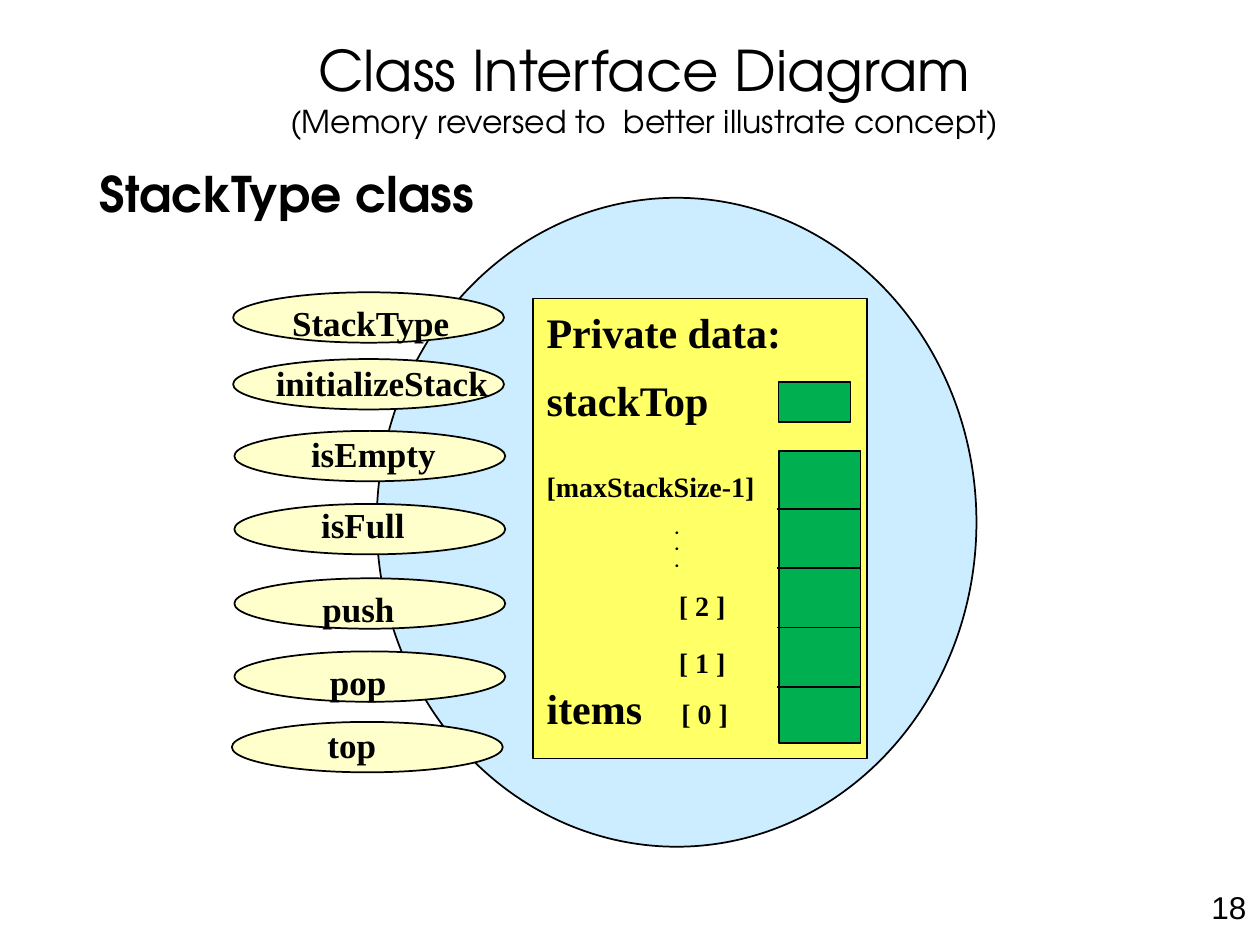
"""Build the StackType class interface diagram slide."""
from dataclasses import dataclass

from lxml import etree
from pptx import Presentation
from pptx.dml.color import RGBColor
from pptx.enum.shapes import MSO_CONNECTOR as Connector, MSO_SHAPE as Shape
from pptx.enum.text import MSO_ANCHOR as Anchor, PP_ALIGN as Align
from pptx.oxml.ns import qn
from pptx.util import Inches, Pt


@dataclass(frozen=True)
class Theme:
    black: str = "000000"
    circle: str = "CCECFF"
    method: str = "FFFFCC"
    data: str = "FFFF66"
    cell: str = "00B050"
    heading_font: str = "TeX Gyre Adventor"
    body_font: str = "Times New Roman"
    dot_font: str = "Montserrat"
    number_font: str = "Arial"
    title_size: int = 32
    class_size: int = 28
    data_size: int = 24
    method_size: int = 20
    small_size: int = 18
    index_size: int = 16
    dot_size: int = 8


theme = Theme()


def write(paragraph, text, size, font=theme.body_font, bold=True, align=Align.LEFT):
    paragraph.alignment = align
    run = paragraph.add_run()
    run.text = text
    run.font.name = font
    run.font.size = Pt(size)
    run.font.bold = bold
    run.font.color.rgb = RGBColor.from_string(theme.black)


def draw(shapes, kind, left, top, width, height, color):
    shape = shapes.add_shape(kind, Inches(left), Inches(top), Inches(width), Inches(height))
    shape.shadow.inherit = False
    shape.fill.solid()
    shape.fill.fore_color.rgb = RGBColor.from_string(color)
    shape.line.color.rgb = RGBColor.from_string(theme.black)
    shape.line.width = Pt(1)


presentation = Presentation()
presentation.slide_width, presentation.slide_height = Inches(10), Inches(7.5)
slide = presentation.slides.add_slide(presentation.slide_layouts[5])
shapes = slide.shapes

title = shapes.title
title.left, title.top, title.width, title.height = Inches(0.75), Inches(0.25), Inches(8.73), Inches(0.89)
title.text_frame.vertical_anchor = Anchor.MIDDLE
paragraph = title.text_frame.paragraphs[0]
write(paragraph, "Class Interface Diagram", theme.title_size, theme.heading_font, False, Align.CENTER)
paragraph.add_line_break()
write(paragraph, "(Memory reversed to  better illustrate concept)", theme.small_size,
      theme.heading_font, False, Align.CENTER)

draw(shapes, Shape.OVAL, 2.99, 1.57, 4.76, 5.15, theme.circle)

class_name = shapes.add_textbox(Inches(0.69), Inches(1.25), Inches(3.22), Inches(0.57))
class_name.text_frame.word_wrap = False
write(class_name.text_frame.paragraphs[0], "StackType class", theme.class_size, theme.heading_font)

methods = [
    ("StackType", 1.85, 2.32, 2.22, 2.34, 1.47),
    ("initializeStack", 1.85, 2.85, 2.09, 2.82, 1.89),
    ("isEmpty", 1.86, 3.42, 2.37, 3.38, 1.19),
    ("isFull", 1.86, 4, 2.45, 3.95, 0.87),
    ("push", 1.86, 4.59, 2.46, 4.61, 0.78),
    ("pop", 1.86, 5.17, 2.52, 5.19, 0.65),
    ("top", 1.84, 5.73, 2.5, 5.69, 0.59),
]
for name, oval_left, oval_top, left, top, width in methods:
    draw(shapes, Shape.OVAL, oval_left, oval_top, 2.15, 0.4, theme.method)
    label = shapes.add_textbox(Inches(left), Inches(top), Inches(width), Inches(0.43))
    label.text_frame.word_wrap = False
    write(label.text_frame.paragraphs[0], name, theme.method_size)

draw(shapes, Shape.RECTANGLE, 4.23, 2.37, 2.65, 3.65, theme.data)
private_data = shapes.add_textbox(Inches(4.24), Inches(2.38), Inches(2.06), Inches(3.37))
frame = private_data.text_frame
frame.word_wrap = True
rows = [
    ("Private data:", theme.data_size, theme.body_font, 0, 0),
    ("stackTop", theme.data_size, theme.body_font, 10.5, 0),
    ("[maxStackSize-1]", theme.index_size, theme.body_font, 25.5, 0),
    (".", theme.dot_size, theme.dot_font, 9.5, 1.02),
    (".", theme.dot_size, theme.dot_font, 0, 1.02),
    (".", theme.dot_size, theme.dot_font, 0, 1.02),
    ("[ 2 ]", theme.index_size, theme.body_font, 10.5, 1.05),
    ("[ 1 ]", theme.index_size, theme.body_font, 13, 1.05),
    ("items", theme.data_size, theme.body_font, 12.5, 0),
]
for index, (text, size, font, space, indent) in enumerate(rows):
    paragraph = frame.add_paragraph() if index else frame.paragraphs[0]
    paragraph.space_before = Pt(space)
    properties = paragraph._p.get_or_add_pPr()
    properties.set("marL", str(Inches(indent)))
    write(paragraph, text, size, font)

paragraph.line_spacing = 0.6
tabs = etree.SubElement(properties, qn("a:tabLst"))
etree.SubElement(tabs, qn("a:tab"), pos=str(Inches(1.07)), algn="l")
write(paragraph, "\t[ 0 ]", theme.index_size)

draw(shapes, Shape.RECTANGLE, 6.18, 3.03, 0.57, 0.32, theme.cell)
items = shapes.add_group_shape().shapes
draw(items, Shape.RECTANGLE, 6.18, 3.58, 0.65, 2.32, theme.cell)
for divider in range(4):
    height = Inches(4.04 + 0.47 * divider)
    line = items.add_connector(Connector.STRAIGHT, Inches(6.17), height, Inches(6.83), height)
    line.line.color.rgb = RGBColor.from_string(theme.black)
    line.line.width = Pt(1)
    etree.SubElement(line._element.spPr, qn("a:effectLst"))

number = shapes.add_textbox(Inches(7.91), Inches(7), Inches(2.08), Inches(0.5))
number.text_frame.word_wrap = True
write(number.text_frame.paragraphs[0], "18", theme.small_size, theme.number_font, False, Align.RIGHT)

presentation.save("out.pptx")
